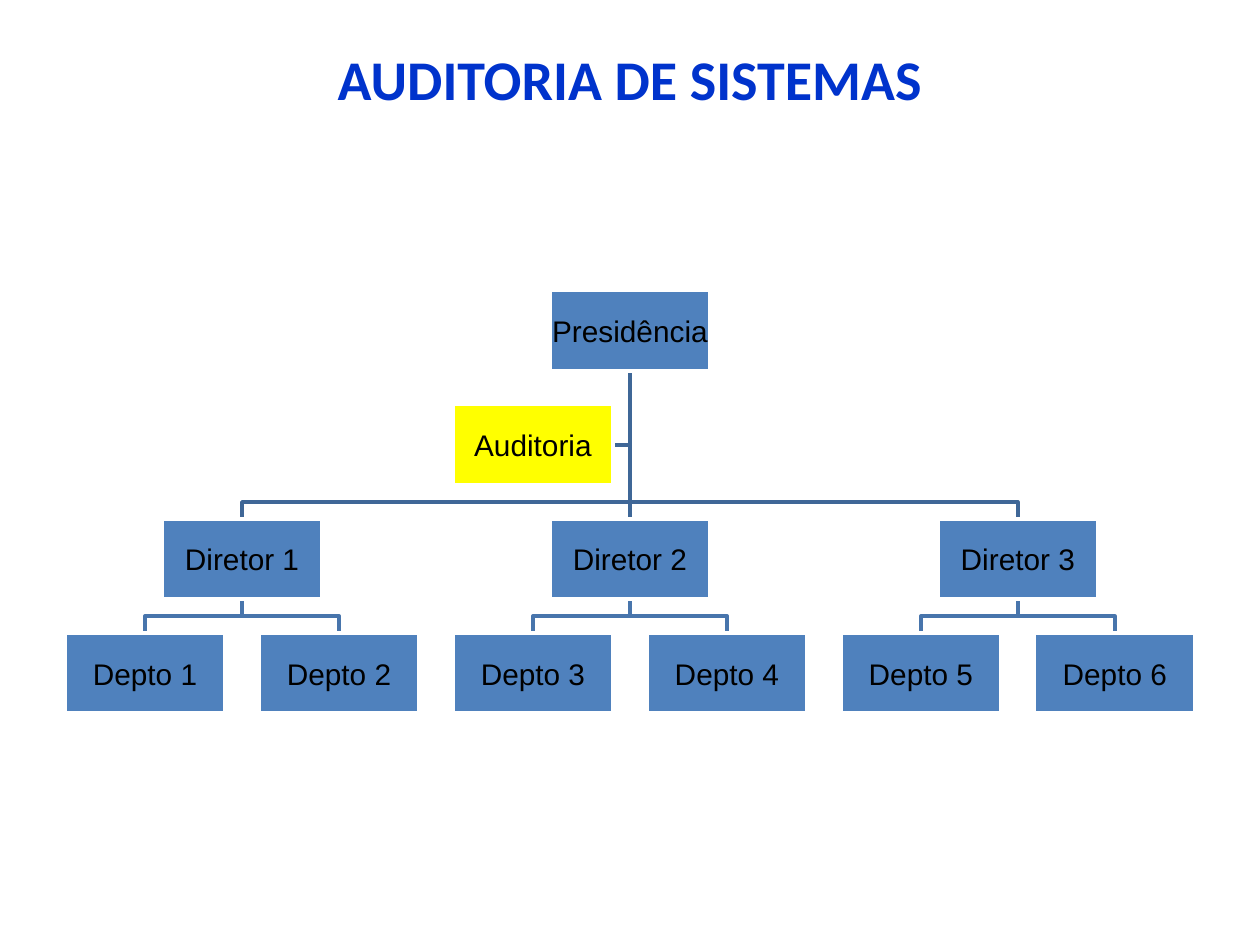
"""Builds the organisation chart slide for a systems audit."""
from lxml import etree
from pptx import Presentation
from pptx.dml.color import RGBColor
from pptx.enum import shapes, text
from pptx.oxml import ns
from pptx.util import Cm, Pt

TITLE = "AUDITORIA DE SISTEMAS"
TITLE_BLUE = RGBColor(0x00, 0x33, 0xCC)
BOX_BLUE = RGBColor(0x4F, 0x81, 0xBD)
YELLOW = RGBColor(0xFF, 0xFF, 0x00)
WHITE = RGBColor(0xFF, 0xFF, 0xFF)
BLACK = RGBColor(0x00, 0x00, 0x00)
UPPER_LINE = RGBColor(0x3F, 0x67, 0x97)
LOWER_LINE = RGBColor(0x48, 0x75, 0xAC)

HEAD = "Presidência"
STAFF = "Auditoria"
DIRECTORS = {
    "Diretor 1": ("Depto 1", "Depto 2"),
    "Diretor 2": ("Depto 3", "Depto 4"),
    "Diretor 3": ("Depto 5", "Depto 6"),
}

CENTER, STEP = 12.7, 1.955
TOP, LEVEL = 5.86, 2.3
WIDTH, HEIGHT, BEND = 3.23, 1.62, 0.34


def place(column, level):
    """Returns the top centre of a box."""
    return CENTER + column * STEP, TOP + level * LEVEL


def add_line(points, color):
    """Draws a straight connector or a bent open path."""
    spots = [(Cm(x), Cm(y)) for x, y in points]
    if len(spots) == 2:
        line = page.shapes.add_connector(shapes.MSO_CONNECTOR.STRAIGHT, *spots[0], *spots[1])
        etree.SubElement(line._element.spPr, ns.qn("a:effectLst"))
    else:
        builder = page.shapes.build_freeform(*spots[0])
        builder.add_line_segments(spots[1:], close=False)
        line = builder.convert_to_shape()
        line.fill.background()
        line.shadow.inherit = False
    line.line.color.rgb = color
    line.line.width = Pt(2)


def add_branch(parent, child, color):
    """Joins the bottom of a parent box to the top of a child box."""
    (x1, y1), (x2, y2) = place(*parent), place(*child)
    start, end = (x1, y1 + HEIGHT), (x2, y2)
    bends = [] if x1 == x2 else [(x1, y2 - BEND), (x2, y2 - BEND)]
    add_line([start, *bends, end], color)


def add_box(label, spot, color):
    """Draws a labelled box."""
    x, y = place(*spot)
    box = page.shapes.add_shape(
        shapes.MSO_SHAPE.RECTANGLE, Cm(x - WIDTH / 2), Cm(y), Cm(WIDTH), Cm(HEIGHT))
    box.shadow.inherit = False
    box.fill.solid()
    box.fill.fore_color.rgb = color
    box.line.color.rgb = WHITE
    box.line.width = Pt(2)
    frame = box.text_frame
    margins = {f"margin_{side}": Cm(0.03) for side in ("left", "right", "top", "bottom")}
    for name, value in {**margins, "word_wrap": False,
                        "vertical_anchor": text.MSO_ANCHOR.MIDDLE}.items():
        setattr(frame, name, value)
    write(frame, label, BLACK, {"name": "Arial", "size": Pt(17)})


def write(frame, words, color, style):
    """Sets one centred, formatted line of text."""
    para = frame.paragraphs[0]
    para.alignment = text.PP_ALIGN.CENTER
    span = para.add_run()
    span.text = words
    span.font.color.rgb = color
    for name, value in style.items():
        setattr(span.font, name, value)


deck = Presentation()
deck.slide_width, deck.slide_height = Cm(25.4), Cm(19.05)
page = deck.slides.add_slide(deck.slide_layouts[5])

title = page.shapes.title
for name, value in {"left": 1.27, "top": 0.76, "width": 22.86, "height": 3.18}.items():
    setattr(title, name, Cm(value))
title.text_frame.vertical_anchor = text.MSO_ANCHOR.TOP
write(title.text_frame, TITLE, TITLE_BLUE, {"name": "Calibri", "size": Pt(32), "bold": True})

head, staff = (0, 0), (-1, 1)
boxes = [(HEAD, head, BOX_BLUE), (STAFF, staff, YELLOW)]
staff_x, staff_y = place(*staff)
middle = staff_y + HEIGHT / 2
add_line([(CENTER, TOP + HEIGHT), (CENTER, middle), (staff_x + WIDTH / 2, middle)], UPPER_LINE)

for number, (director, departments) in enumerate(DIRECTORS.items()):
    column = 4 * (number - 1)
    add_branch(head, (column, 2), UPPER_LINE)
    boxes.append((director, (column, 2), BOX_BLUE))
    for side, department in zip((-1, 1), departments):
        spot = (column + side, 3)
        add_branch((column, 2), spot, LOWER_LINE)
        boxes.append((department, spot, BOX_BLUE))

for box in boxes:
    add_box(*box)

deck.save("out.pptx")
